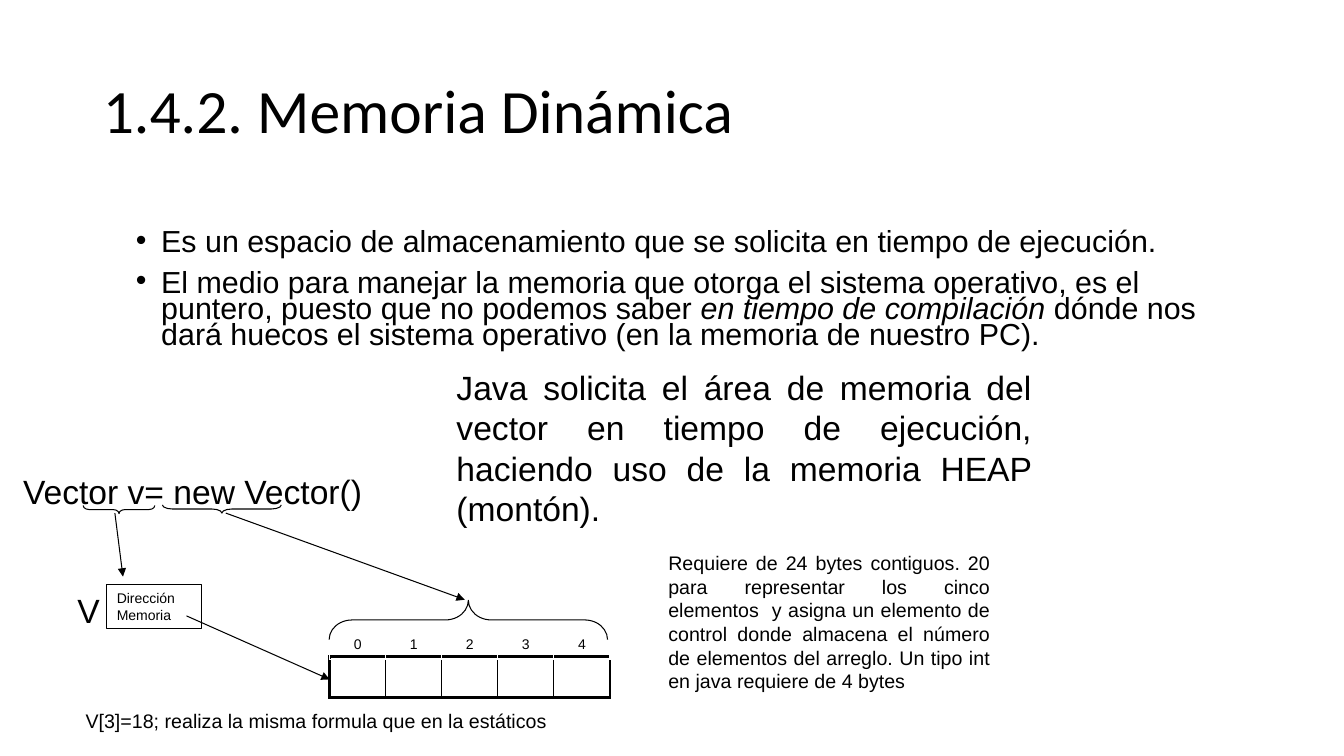
from dataclasses import dataclass

from lxml.etree import SubElement
from pptx import Presentation
from pptx.dml.color import RGBColor
from pptx.enum.shapes import MSO_CONNECTOR as Connector, MSO_SHAPE as Preset
from pptx.enum.text import MSO_ANCHOR as Anchor, PP_ALIGN as Align
from pptx.oxml.ns import qn
from pptx.util import Emu, Inches, Pt


@dataclass(frozen=True)
class Theme:
    ink: str = "000000"
    paper: str = "FFFFFF"
    heading_font: str = "Calibri"
    body_font: str = "Arial"
    title: float = 44
    bullet: float = 21.7
    statement: float = 24
    note: float = 14
    label: float = 10
    thin: float = 0.75
    grid: float = 1
    frame: float = 2.25


THEME = Theme()
SLIDE_SIZE = (13.33, 7.5)

TITLE = ("1.4.2. Memoria Dinámica", (6.9, 5.33, 86.25, 19.33))
BULLET_BOX = (9.38, 30, 80.94, 22)
BULLETS = [
    [("Es un espacio de almacenamiento que se solicita en tiempo de ejecución.", False)],
    [
        ("El medio para manejar la memoria que otorga el sistema operativo, es el "
         "puntero, puesto que no podemos saber ", False),
        ("en tiempo de compilación ", True),
        ("dónde nos dará huecos el sistema operativo (en la memoria de nuestro PC).", False),
    ],
]
TEXTS = [
    ("Vector v= new Vector()", (0.98, 61.6, 29.56, 6.67), THEME.statement, Align.LEFT),
    ("Java solicita el área de memoria del vector en tiempo de ejecución, haciendo "
     "uso de la memoria HEAP (montón).",
     (33.23, 47.87, 44.26, 22.93), THEME.statement, Align.JUSTIFY),
    ("V", (5.03, 77.33, 4.13, 6.67), THEME.statement, Align.LEFT),
    ("Requiere de 24 bytes contiguos. 20 para representar los cinco elementos  y "
     "asigna un elemento de control donde almacena el número de elementos del "
     "arreglo. Un tipo int en java requiere de 4 bytes",
     (48.99, 72.27, 25.43, 20.13), THEME.note, Align.JUSTIFY),
    ("V[3]=18; realiza la misma formula que en la estáticos",
     (5.63, 93.07, 36.01, 4.53), THEME.note, Align.LEFT),
]
ADDRESS = ("Dirección Memoria", (7.95, 77.33, 7.05, 5.87))
INDEXES = ["0", "1", "2", "3", "4"]
MEMORY_BOX = (24.53, 86.8, 20.86, 5.47)
INDEX_BOX = (24.53, 83.6, 20.86, 3.6)
BRACES = [
    (Preset.RIGHT_BRACE, (6.19, 66.87, 5.33, 1.07), 0.739),
    (Preset.RIGHT_BRACE, (12.08, 66.8, 8.85, 1.07), 1.232),
    (Preset.LEFT_BRACE, (24.49, 79.4, 20.71, 5.2), 0.583),
]
ARROWS = [
    (13.88, 81.47, 24.53, 89.87),
    (8.55, 67.87, 9.15, 76.27),
    (16.8, 67.87, 34.58, 79.33),
]

presentation = Presentation()
presentation.slide_width, presentation.slide_height = map(Inches, SLIDE_SIZE)
slide = presentation.slides.add_slide(presentation.slide_layouts[5])


def place(shares):
    sides = (presentation.slide_width, presentation.slide_height) * 2
    return [Emu(round(side * share / 100)) for side, share in zip(sides, shares)]


def color(value):
    return RGBColor.from_string(value)


def add_run(paragraph, text, size, font=THEME.body_font, italic=False):
    run = paragraph.add_run()
    run.text = text
    run.font.name, run.font.size, run.font.italic = font, Pt(size), italic
    run.font.color.rgb = color(THEME.ink)


def add_text_box(shares):
    frame = slide.shapes.add_textbox(*place(shares)).text_frame
    frame.word_wrap = True
    return frame


def outline(shape):
    shape.line.color.rgb = color(THEME.ink)
    shape.line.width = Pt(THEME.thin)


def add_outlined(preset, box):
    shape = slide.shapes.add_shape(preset, *box)
    shape.shadow.inherit = False
    shape.fill.background()
    outline(shape)
    return shape


def add_bullet(paragraph):
    properties = paragraph._p.get_or_add_pPr()
    properties.set("marL", str(Inches(0.25)))
    properties.set("indent", str(-Inches(0.25)))
    SubElement(properties, qn("a:buFont"), typeface=THEME.body_font)
    SubElement(properties, qn("a:buChar"), char="•")


def add_brace(preset, shares, curve):
    left, top, width, height = place(shares)
    shift = (width - height) // 2
    brace = add_outlined(preset, (left + shift, top - shift, height, width))
    brace.rotation = 90
    brace.adjustments[0] = curve


def add_arrow(shares):
    arrow = slide.shapes.add_connector(Connector.STRAIGHT, *place(shares))
    outline(arrow)
    SubElement(arrow.line._ln, qn("a:tailEnd"), type="triangle")
    SubElement(arrow._element.spPr, qn("a:effectLst"))


def add_borders(cell, value, widths):
    properties = cell._tc.get_or_add_tcPr()
    for side, width in zip("LRTB", widths):
        line = SubElement(properties, qn(f"a:ln{side}"), w=str(Pt(width)))
        fill = SubElement(line, qn("a:solidFill"))
        SubElement(fill, qn("a:srgbClr"), val=value)
    cell.fill.background()


def add_row(shares):
    box = place(shares)
    table = slide.shapes.add_table(1, len(INDEXES), *box).table
    table.first_row = table.horz_banding = False
    for column in table.columns:
        column.width = Emu(box[2] // len(INDEXES))
    return list(table.iter_cells())


title_text, title_box = TITLE
title = slide.shapes.title
title.left, title.top, title.width, title.height = place(title_box)
title.text_frame.vertical_anchor = Anchor.MIDDLE
heading = title.text_frame.paragraphs[0]
heading.alignment, heading.line_spacing = Align.LEFT, 0.9
add_run(heading, title_text, THEME.title, THEME.heading_font)

bullet_frame = add_text_box(BULLET_BOX)
for number, runs in enumerate(BULLETS):
    paragraph = bullet_frame.add_paragraph() if number else bullet_frame.paragraphs[0]
    paragraph.line_spacing, paragraph.space_before = 0.72, Pt(10)
    add_bullet(paragraph)
    for text, italic in runs:
        add_run(paragraph, text, THEME.bullet, italic=italic)

for text, shares, size, alignment in TEXTS:
    paragraph = add_text_box(shares).paragraphs[0]
    paragraph.alignment = alignment
    add_run(paragraph, text, size)

address_text, address_box = ADDRESS
address = add_outlined(Preset.RECTANGLE, place(address_box)).text_frame
address.word_wrap, address.vertical_anchor = True, Anchor.TOP
address.paragraphs[0].alignment = Align.LEFT
add_run(address.paragraphs[0], address_text, THEME.label)

memory_cells = add_row(MEMORY_BOX)
for cell in memory_cells:
    left_width = THEME.frame if cell is memory_cells[0] else THEME.grid
    right_width = THEME.frame if cell is memory_cells[-1] else THEME.grid
    add_borders(cell, THEME.ink, (left_width, right_width, THEME.frame, THEME.frame))

for cell, text in zip(add_row(INDEX_BOX), INDEXES):
    add_borders(cell, THEME.paper, [THEME.grid] * 4)
    paragraph = cell.text_frame.paragraphs[0]
    paragraph.alignment, paragraph.space_before = Align.CENTER, Pt(2)
    add_run(paragraph, text, THEME.label)

for brace in BRACES:
    add_brace(*brace)
for arrow in ARROWS:
    add_arrow(arrow)

presentation.save("out.pptx")
